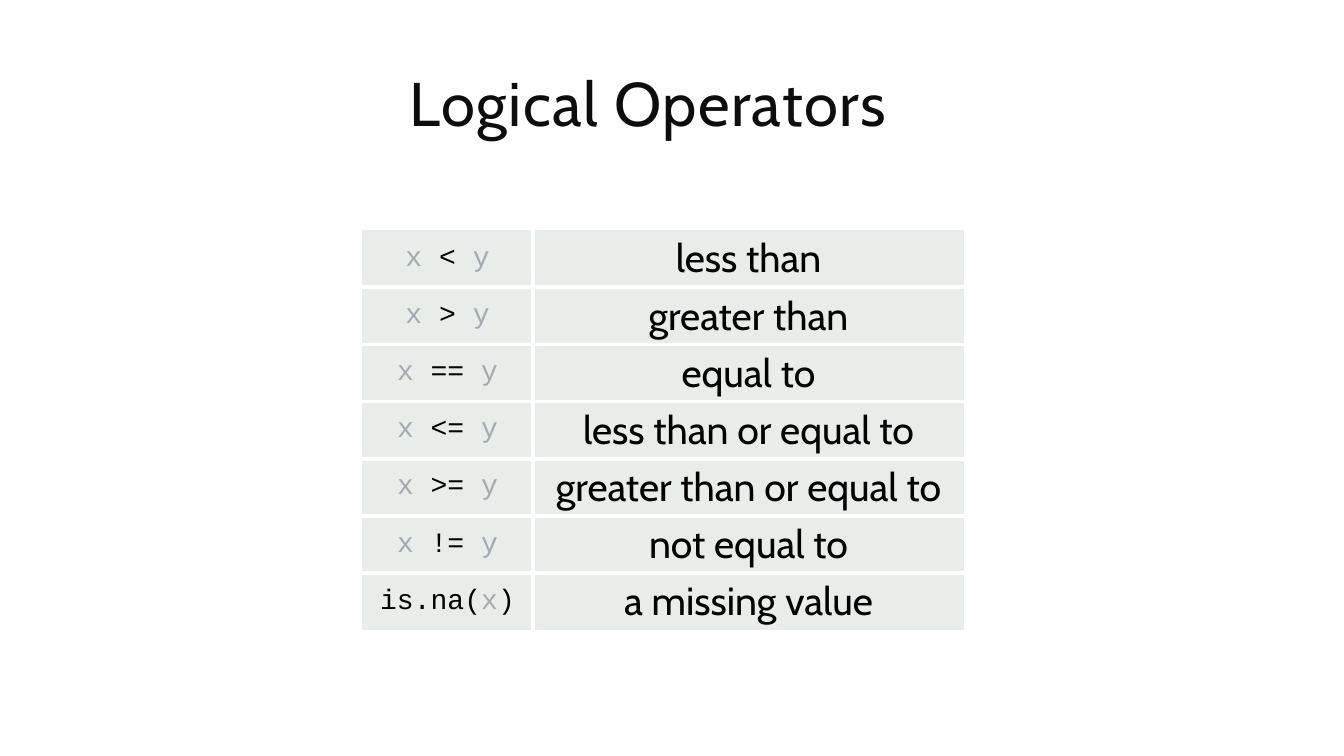
from lxml import etree
from pptx import Presentation
from pptx.dml.color import RGBColor
from pptx.enum.text import MSO_ANCHOR, PP_ALIGN
from pptx.oxml.ns import qn
from pptx.util import Emu, Pt

CENTER = PP_ALIGN.CENTER
MIDDLE = MSO_ANCHOR.MIDDLE

PX_PER_INCH = 100.8
COLORS = {
    "title": "0D0D0D",
    "text": "000000",
    "operand": "A1ACB2",
    "cell": "E8EDE9",
    "gap": "FFFFFF",
}
BODY_FONT = "Cabin"
CODE_FONT = "Courier New"
GAP_WIDTH = Pt(3)
COLUMN_WIDTHS = (171, 431)
ROW_HEIGHT = 57

OPERATORS = [
    (("x", " < ", "y"), "less than"),
    (("x", " > ", "y"), "greater than"),
    (("x", " == ", "y"), "equal to"),
    (("x", " <= ", "y"), "less than or equal to"),
    (("x", " >= ", "y"), "greater than or equal to"),
    (("x", " != ", "y"), "not equal to"),
    (("is.na(", "x", ")"), "a missing value"),
]


def px(length):
    return Emu(round(length * 914400 / PX_PER_INCH))


def color(name):
    return RGBColor.from_string(COLORS[name])


def style_paragraph(paragraph, font_name, size, color_name):
    paragraph.alignment = CENTER
    paragraph.font.name = font_name
    paragraph.font.size = Pt(size)
    paragraph.font.color.rgb = color(color_name)


def add_title(slide, text):
    title = slide.shapes.add_textbox(px(113), px(65), px(1071), px(88))
    frame = title.text_frame
    frame.word_wrap = True
    frame.vertical_anchor = MIDDLE
    heading = frame.paragraphs[0]
    heading.line_spacing = 0.8
    style_paragraph(heading, BODY_FONT, 44, "title")
    run = heading.add_run()
    run.text = text
    run.font._element.set("spc", "100")


def set_border(cell, side, visible):
    properties = cell._tc.get_or_add_tcPr()
    line = etree.SubElement(properties, qn(f"a:ln{side}"), w=str(GAP_WIDTH))
    if visible:
        fill = etree.SubElement(line, qn("a:solidFill"))
        etree.SubElement(fill, qn("a:srgbClr"), val=COLORS["gap"])
    else:
        etree.SubElement(line, qn("a:noFill"))


def style_cell(cell, row, column):
    inner_sides = {
        "L": column > 0,
        "R": column < len(COLUMN_WIDTHS) - 1,
        "T": row > 0,
        "B": row < len(OPERATORS) - 1,
    }
    for side, visible in inner_sides.items():
        set_border(cell, side, visible)
    cell.fill.solid()
    cell.fill.fore_color.rgb = color("cell")
    cell.vertical_anchor = MIDDLE


def write_expression(cell, parts):
    expression = cell.text_frame.paragraphs[0]
    style_paragraph(expression, CODE_FONT, 20, "text")
    for part in parts:
        run = expression.add_run()
        run.text = part
        run.font.color.rgb = color("operand" if part in ("x", "y") else "text")


def write_meaning(cell, text):
    meaning = cell.text_frame.paragraphs[0]
    style_paragraph(meaning, BODY_FONT, 28, "text")
    meaning.add_run().text = text


def add_operator_table(slide):
    operators = slide.shapes.add_table(
        len(OPERATORS), len(COLUMN_WIDTHS), px(362), px(230),
        px(sum(COLUMN_WIDTHS)), px(ROW_HEIGHT * len(OPERATORS)),
    ).table
    operators.first_row = False
    operators.horz_banding = False
    for column, width in zip(operators.columns, COLUMN_WIDTHS):
        column.width = px(width)
    for row, (parts, meaning) in enumerate(OPERATORS):
        for column in range(len(COLUMN_WIDTHS)):
            style_cell(operators.cell(row, column), row, column)
        write_expression(operators.cell(row, 0), parts)
        write_meaning(operators.cell(row, 1), meaning)


def main():
    presentation = Presentation()
    presentation.slide_width = px(1344)
    presentation.slide_height = px(756)
    slide = presentation.slides.add_slide(presentation.slide_layouts[6])
    add_title(slide, "Logical Operators")
    add_operator_table(slide)
    presentation.save("out.pptx")


if __name__ == "__main__":
    main()
